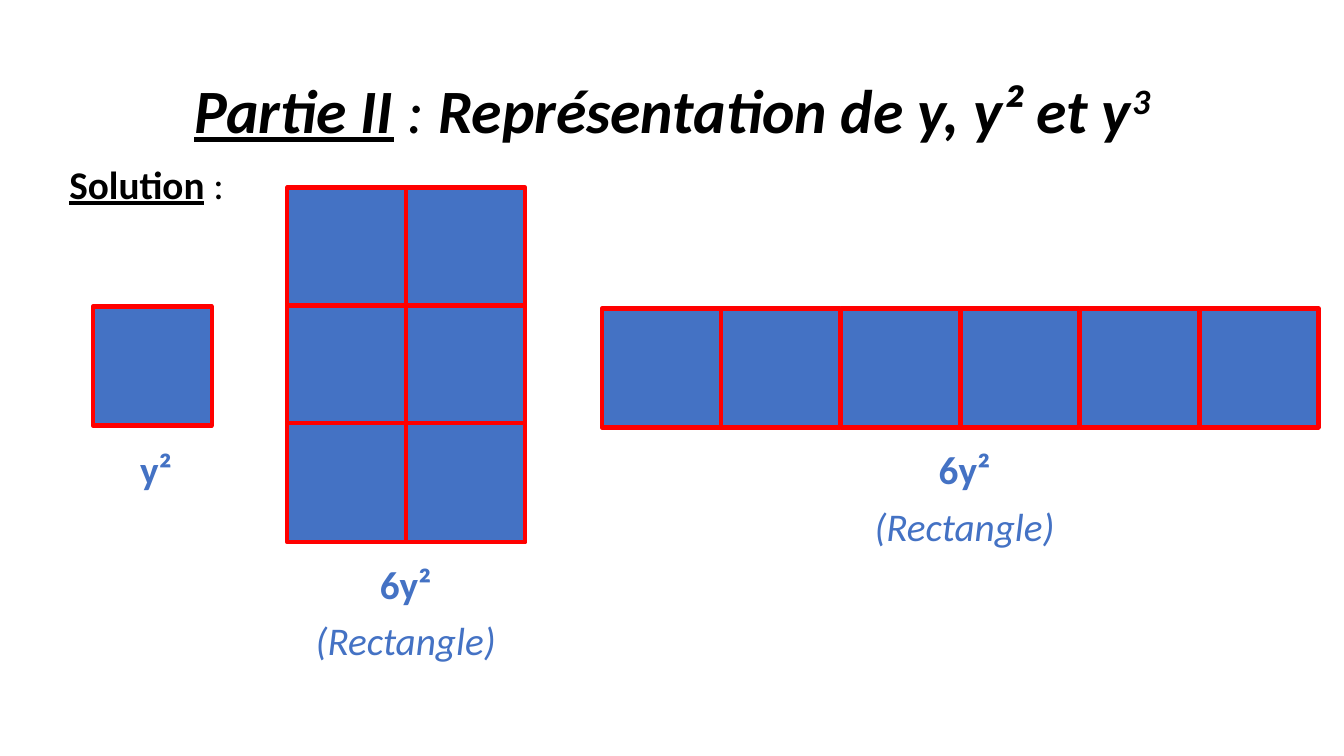
from pptx import Presentation
from pptx.dml.color import RGBColor
from pptx.enum.shapes import MSO_SHAPE
from pptx.enum.text import MSO_ANCHOR, PP_ALIGN
from pptx.util import Pt

COLORS = {"ink": "000000", "blue": "4472C4", "red": "FF0000"}
FONT = "Calibri"

# Runs: text, style letters (b bold, i italic, u underline, s superscript)
TITLE = [("Partie II", "biu"), (" : ", "i"),
         ("Représentation de y, y² et y", "bi"), ("3", "bis")]
HEADING = [("Solution", "bu"), (" :", "")]
UNIT = [[("y²", "b")]]
SIX = [[("6y²", "b")], [("(Rectangle)", "i")]]

SIDE = 85
# Grids: left, top, columns, rows, column step, row step
GRIDS = [
    (66.2, 218.9, 1, 1, SIDE, SIDE),
    (205.2, 133.9, 2, 3, SIDE, 84.25),
    (429.8, 220.3, 6, 1, 85.4, SIDE),
]
# Labels: centre, text line on which they start, paragraphs
LABELS = [(111.4, 5, UNIT), (289.8, 7, SIX), (689, 5, SIX)]
BODY_TOP, LINE_STEP, LABEL_WIDTH = 114.5, 40.8, 180


def color(name):
    return RGBColor.from_string(COLORS[name])


def add_text(slide, box, paras, size, ink, align, anchor=MSO_ANCHOR.TOP):
    frame = slide.shapes.add_textbox(*map(Pt, box)).text_frame
    frame.word_wrap = True
    frame.vertical_anchor = anchor
    for i, runs in enumerate(paras):
        para = frame.add_paragraph() if i else frame.paragraphs[0]
        para.alignment = align
        para.line_spacing = 0.9
        para.space_before = Pt(10 if i else 0)
        for text, style in runs:
            run = para.add_run()
            run.text = text
            font = run.font
            font.name, font.size = FONT, Pt(size)
            font.color.rgb = color(ink)
            font.bold = "b" in style
            font.italic = "i" in style
            font.underline = "u" in style
            if "s" in style:
                run._r.get_or_add_rPr().set("baseline", "30000")


def add_square(slide, left, top):
    square = slide.shapes.add_shape(
        MSO_SHAPE.RECTANGLE, Pt(left), Pt(top), Pt(SIDE), Pt(SIDE))
    square.shadow.inherit = False
    square.fill.solid()
    square.fill.fore_color.rgb = color("blue")
    square.line.color.rgb = color("red")
    square.line.width = Pt(3)


def main():
    deck = Presentation()
    deck.slide_width, deck.slide_height = Pt(960), Pt(540)
    slide = deck.slides.add_slide(deck.slide_layouts[6])

    add_text(slide, (66.2, 28.8, 828, 104.4), [TITLE], 44, "ink",
             PP_ALIGN.CENTER, MSO_ANCHOR.MIDDLE)
    add_text(slide, (42.5, BODY_TOP, 150, 38), [HEADING], 28, "ink",
             PP_ALIGN.LEFT)
    for left, top, cols, rows, dx, dy in GRIDS:
        for row in range(rows):
            for col in range(cols):
                add_square(slide, left + col * dx, top + row * dy)
    for centre, line, paras in LABELS:
        box = (centre - LABEL_WIDTH / 2, BODY_TOP + line * LINE_STEP,
               LABEL_WIDTH, len(paras) * LINE_STEP)
        add_text(slide, box, paras, 28, "blue", PP_ALIGN.CENTER)

    deck.save("out.pptx")


if __name__ == "__main__":
    main()
